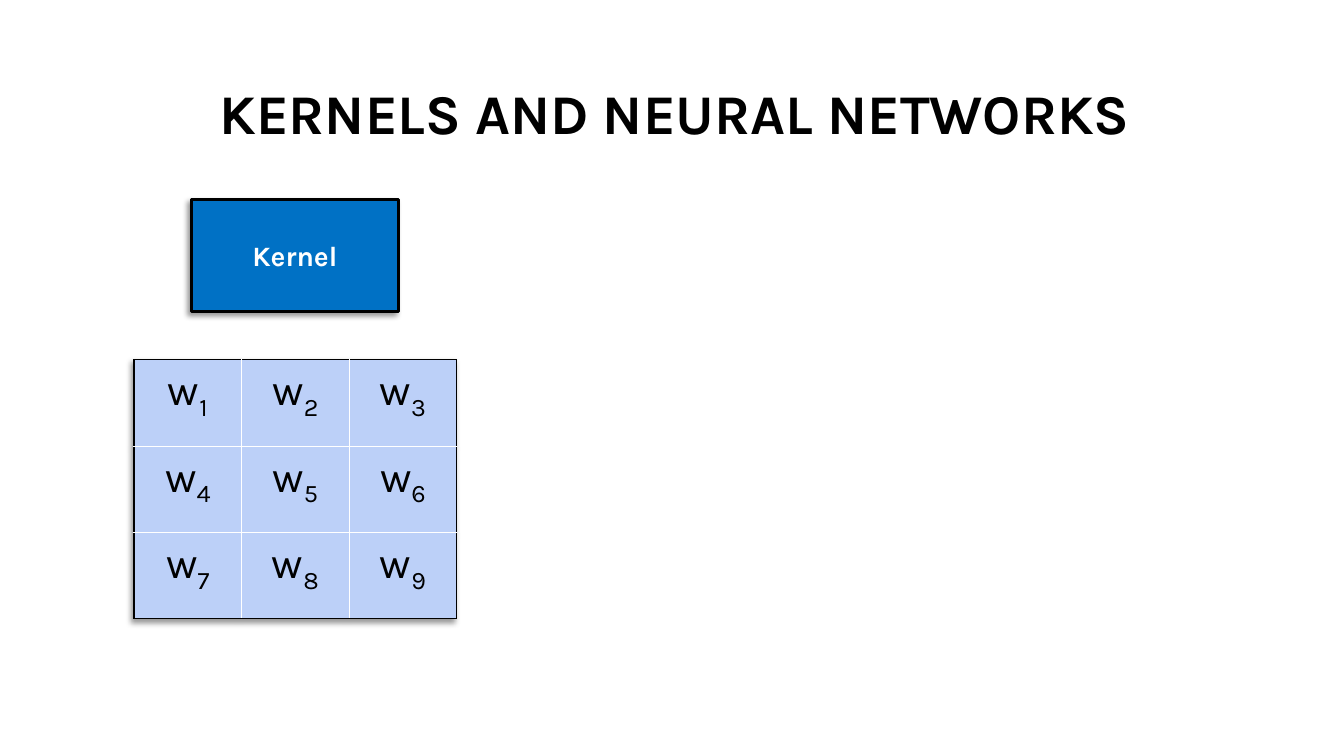
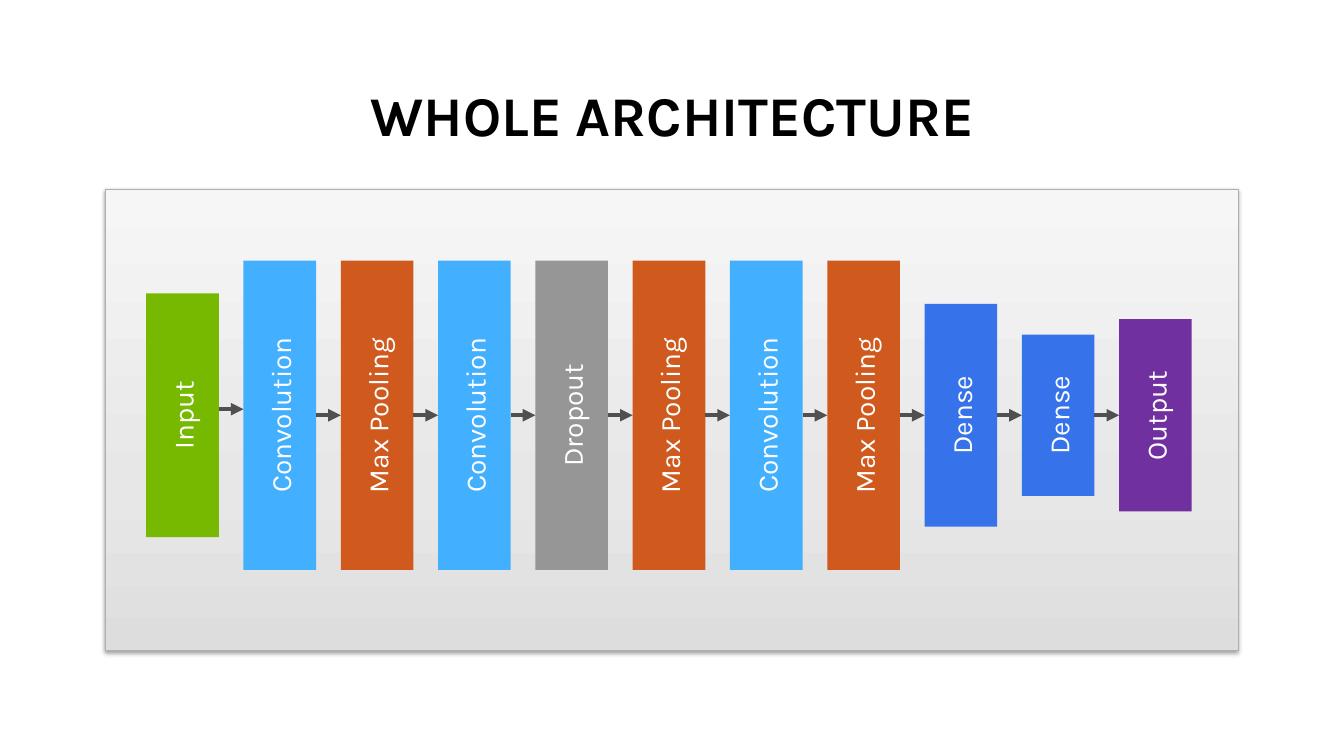
from dataclasses import dataclass
from itertools import pairwise

from lxml import etree
from pptx import Presentation
from pptx.dml.color import RGBColor
from pptx.enum import shapes, text
from pptx.oxml import ns
from pptx.util import Inches, Pt


@dataclass(frozen=True)
class Theme:
    font: str = "Karla"
    title_size: int = 40
    weight_size: int = 31
    label_size: int = 20
    black: str = "000000"
    white: str = "FFFFFF"
    kernel: str = "0071C5"
    cell: str = "BCD0F8"
    panel_line: str = "AFAFAF"
    panel_stops: tuple = ((0, "DDDDDD"), (35, "E7E7E7"), (100, "F6F6F6"))
    arrow: str = "505050"
    green: str = "76B900"
    sky: str = "43AFFF"
    orange: str = "D0591E"
    gray: str = "969696"
    blue: str = "3673EB"
    purple: str = "7030A0"


THEME = Theme()
# Shadows: opacity in percent, blur and distance in points, angle in degrees
KERNEL_SHADOW = (40, 4, 3, 135)
PANEL_SHADOW = (38, 3.1, 1.6, 90)

# Layers of the network: label, colour, height in inches
CONVOLUTION = ("Convolution", THEME.sky, 3.07)
POOLING = ("Max Pooling", THEME.orange, 3.07)
LAYERS = [
    ("Input", THEME.green, 2.42),
    CONVOLUTION,
    POOLING,
    CONVOLUTION,
    ("Dropout", THEME.gray, 3.07),
    POOLING,
    CONVOLUTION,
    POOLING,
    ("Dense", THEME.blue, 2.21),
    ("Dense", THEME.blue, 1.6),
    ("Output", THEME.purple, 1.91),
]


# Shared helpers
def rgb(color):
    return RGBColor.from_string(color)


def apply(target, **values):
    for name, value in values.items():
        setattr(target, name, value)


def element(tag, *children, **attributes):
    node = etree.Element(ns.qn(tag), {k: str(v) for k, v in attributes.items()})
    node.extend(children)
    return node


def color_element(color, *children):
    return element("a:srgbClr", *children, val=color)


def shadow_element(opacity, blur, distance, angle):
    color = color_element(THEME.black, element("a:alpha", val=opacity * 1000))
    shadow = element("a:outerShdw", color, blurRad=Pt(blur), dist=Pt(distance),
                     dir=angle * 60000, algn="ctr", rotWithShape=0)
    return element("a:effectLst", shadow)


def add_text(paragraph, words, size, color, bold=False):
    paragraph.alignment = text.PP_ALIGN.CENTER
    run = paragraph.add_run()
    run.text = words
    apply(run.font, name=THEME.font, size=Pt(size), bold=bold)
    run.font.color.rgb = rgb(color)
    return run


def add_box(slide, box, fill=None, line=None, line_width=1, shadow=None):
    shape = slide.shapes.add_shape(shapes.MSO_SHAPE.RECTANGLE,
                                   *map(Inches, box))
    shape.shadow.inherit = False
    if fill:
        shape.fill.solid()
        shape.fill.fore_color.rgb = rgb(fill)
    if line:
        shape.line.color.rgb = rgb(line)
        shape.line.width = Pt(line_width)
    else:
        shape.line.fill.background()
    if shadow:
        properties = shape._element.spPr
        effects = properties.find(ns.qn("a:effectLst"))
        properties.replace(effects, shadow_element(*shadow))
    apply(shape.text_frame, word_wrap=True,
          vertical_anchor=text.MSO_ANCHOR.MIDDLE)
    return shape


def add_title(slide, box, words):
    frame = slide.shapes.add_textbox(*map(Inches, box)).text_frame
    apply(frame, word_wrap=True, vertical_anchor=text.MSO_ANCHOR.BOTTOM)
    paragraph = frame.paragraphs[0]
    paragraph.line_spacing = 0.9
    add_text(paragraph, words, THEME.title_size, THEME.black, bold=True)


# Kernel weights
def style_cell(cell, borders):
    apply(cell, margin_left=Inches(0.11), margin_right=Inches(0.11),
          margin_top=Inches(0.06), margin_bottom=Inches(0.06))
    cell.fill.solid()
    cell.fill.fore_color.rgb = rgb(THEME.cell)
    properties = cell._tc.get_or_add_tcPr()
    for index, (side, outer) in enumerate(borders.items()):
        color = color_element(THEME.black if outer else THEME.white)
        line = element(f"a:ln{side}", element("a:solidFill", color), w=Pt(1))
        properties.insert(index, line)


def add_weights(slide, box, count=3):
    left, top, width, height = map(Inches, box)
    table = slide.shapes.add_table(count, count, left, top, width, height).table
    apply(table, first_row=False, horz_banding=False)
    table._tbl.tblPr.insert(0, shadow_element(*KERNEL_SHADOW))
    for number in range(count * count):
        row, column = divmod(number, count)
        cell = table.cell(row, column)
        style_cell(cell, {"L": column == 0, "R": column == count - 1,
                          "T": row == 0, "B": row == count - 1})
        paragraph = cell.text_frame.paragraphs[0]
        add_text(paragraph, "w", THEME.weight_size, THEME.black)
        subscript = add_text(paragraph, str(number + 1), THEME.weight_size,
                             THEME.black)
        subscript._r.get_or_add_rPr().set("baseline", "-25000")


def build_kernel_slide(slide):
    add_title(slide, (0.63, 0.78, 12.12, 0.72), "KERNELS AND NEURAL NETWORKS")
    add_weights(slide, (1.33, 3.57, 3.2, 2.57))
    kernel = add_box(slide, (1.9, 1.98, 2.05, 1.11), THEME.kernel, THEME.black,
                     2.25, KERNEL_SHADOW)
    add_text(kernel.text_frame.paragraphs[0], "Kernel", THEME.label_size,
             THEME.white, bold=True)


# Network diagram
def add_panel(slide, box):
    panel = add_box(slide, box, line=THEME.panel_line, line_width=0.75,
                    shadow=PANEL_SHADOW)
    stops = [element("a:gs", color_element(color), pos=position * 1000)
             for position, color in THEME.panel_stops]
    gradient = element("a:gradFill", element("a:gsLst", *stops),
                       element("a:lin", ang=270 * 60000, scaled=0))
    panel._element.spPr.find(ns.qn("a:prstGeom")).addnext(gradient)


def add_layer(slide, box, label, color):
    layer = add_box(slide, box, color)
    layer.text_frame._txBody.bodyPr.set("vert", "vert270")
    add_text(layer.text_frame.paragraphs[0], label, THEME.label_size,
             THEME.white)
    return layer


def add_arrow(slide, start, end, y, joined):
    arrow = slide.shapes.add_connector(
        shapes.MSO_CONNECTOR.STRAIGHT, start.left + start.width, y, end.left, y)
    if joined:
        arrow.begin_connect(start, 3)
        arrow.end_connect(end, 1)
    arrow.line.color.rgb = rgb(THEME.arrow)
    arrow.line.width = Pt(3)
    arrow.line._get_or_add_ln().append(element("a:tailEnd", type="triangle"))
    arrow._element.spPr.append(element("a:effectLst"))


def add_network(slide, box):
    left, top = box[:2]
    add_panel(slide, box)
    width, middle = 0.72, top + 2.24
    pitch = 9.65 / (len(LAYERS) - 1)
    layers = [
        add_layer(slide, (left + 0.4 + index * pitch, middle - height / 2,
                          width, height), label, color)
        for index, (label, color, height) in enumerate(LAYERS)
    ]
    # The input arrow runs slightly above the centre line
    for index, (start, end) in enumerate(pairwise(layers)):
        y = middle if index else middle - 0.06
        add_arrow(slide, start, end, Inches(y), joined=index > 0)


def build_architecture_slide(slide):
    add_title(slide, (0.61, 0.8, 12.12, 0.72), "WHOLE ARCHITECTURE")
    add_network(slide, (1.05, 1.88, 11.23, 4.57))


def main():
    presentation = Presentation()
    apply(presentation, slide_width=Inches(13.33), slide_height=Inches(7.5))
    for build in (build_kernel_slide, build_architecture_slide):
        build(presentation.slides.add_slide(presentation.slide_layouts[6]))
    presentation.save("out.pptx")


if __name__ == "__main__":
    main()
